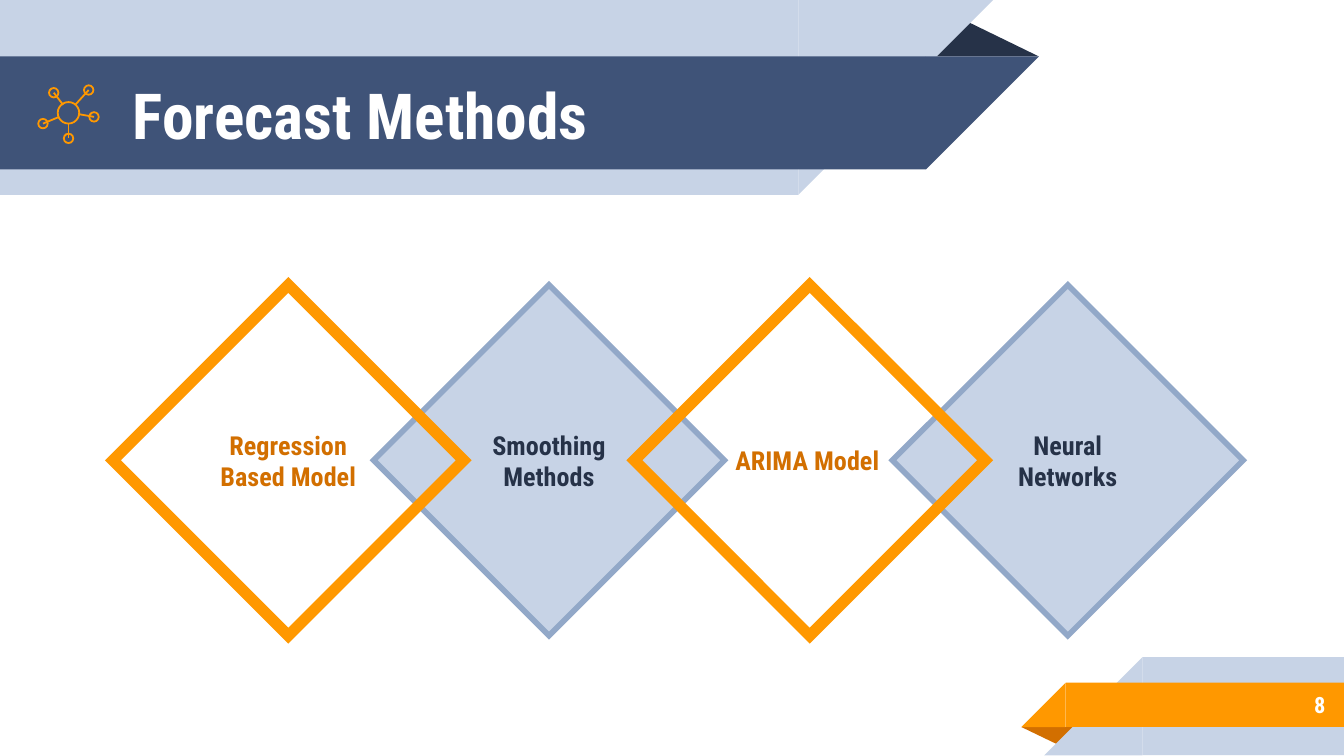
from typing import NamedTuple, Optional

from lxml import etree
from pptx import Presentation
from pptx.dml.color import RGBColor
from pptx.enum import shapes, text
from pptx.oxml import ns
from pptx.util import Inches, Pt

FONT = "Roboto Condensed"
NAVY, SLATE, PALE, STEEL = "263248", "3F5378", "C7D3E6", "92A8C8"
ORANGE, BROWN, WHITE = "FF9800", "D26F00", "FFFFFF"
KIND = shapes.MSO_SHAPE
ALIGN = text.PP_ALIGN


class Box(NamedTuple):
    left: float
    top: float
    width: float
    height: float


class Band(NamedTuple):
    """A bar with a 45 degree end; the corner is a square of side `slant`."""
    bar: Box
    corner_left: float
    slant: float
    corner_turn: int
    color: str


class Fold(NamedTuple):
    box: Box
    turn: int
    color: str


class Method(NamedTuple):
    label: str
    left: float
    fill: Optional[str]
    outline: str
    weight: float
    color: str
    align: ALIGN


class Spoke(NamedTuple):
    """A line from the hub's rim to the centre of an outer node."""
    rim: tuple
    node: tuple


HEADER_FOLD = Fold(Box(6.88, 0.14, 0.85, 0.28), 0, NAVY)
HEADER_BANDS = [
    Band(Box(0, 0, 5.94, 1.45), 5.94, 1.45, 90, PALE),
    Band(Box(0, 0.42, 6.89, 0.84), 6.89, 0.84, 90, SLATE),
]
FOOTER_FOLD = Fold(Box(7.6, 5.41, 0.43, 0.14), 180, BROWN)
FOOTER_BANDS = [
    Band(Box(8.5, 4.89, 1.5, 0.73), 7.77, 0.73, 270, PALE),
    Band(Box(7.93, 5.08, 2.08, 0.33), 7.6, 0.33, 270, ORANGE),
]

# Back to front: the orange diamonds overlap the pale ones.
METHODS = [
    Method("Neural Networks", 6.64, PALE, STEEL, 3, NAVY, ALIGN.CENTER),
    Method("Smoothing Methods", 2.78, PALE, STEEL, 3, NAVY, ALIGN.CENTER),
    Method("Regression Based Model", 0.84, None, ORANGE, 6, BROWN, ALIGN.CENTER),
    Method("ARIMA Model", 4.72, None, ORANGE, 6, BROWN, ALIGN.LEFT),
]
DIAMOND_TOP, DIAMOND_SIDE = 2.12, 2.61

HUB, HUB_SIZE, NODE_SIZE, ICON_LINE = (0.51, 0.84), 0.16, 0.07, 0.96
SPOKES = [
    Spoke((0.56, 0.78), (0.66, 0.67)),
    Spoke((0.47, 0.78), (0.4, 0.69)),
    Spoke((0.44, 0.87), (0.32, 0.92)),
    Spoke((0.51, 0.92), (0.51, 1.03)),
    Spoke((0.59, 0.85), (0.7, 0.87)),
]


def rgb(color: str) -> RGBColor:
    return RGBColor.from_string(color)


def add_preset(slide, kind, box: Box, fill=None, outline=None, weight=0.0, turn=0):
    shape = slide.shapes.add_shape(kind, *map(Inches, box))
    shape.shadow.inherit = False
    shape.rotation = turn
    if fill:
        shape.fill.solid()
        shape.fill.fore_color.rgb = rgb(fill)
    else:
        shape.fill.background()
    if outline:
        shape.line.color.rgb = rgb(outline)
        shape.line.width = Pt(weight)
        outline_xml = shape._element.spPr.find(ns.qn("a:ln"))
        etree.SubElement(outline_xml, ns.qn("a:miter"), lim="800000")
    else:
        shape.line.fill.background()
    return shape


def write(shape, words: str, size: float, color: str, align: ALIGN) -> None:
    frame = shape.text_frame
    frame_format = {"word_wrap": True, "vertical_anchor": text.MSO_ANCHOR.MIDDLE}
    for side in ("left", "top", "right", "bottom"):
        frame_format[f"margin_{side}"] = Inches(0.1)
    for name, value in frame_format.items():
        setattr(frame, name, value)
    paragraph = frame.paragraphs[0]
    paragraph.alignment = align
    run = paragraph.add_run()
    run.text = words
    for name, value in {"name": FONT, "size": Pt(size), "bold": True}.items():
        setattr(run.font, name, value)
    run.font.color.rgb = rgb(color)


def add_label(slide, box: Box, words: str, size: float, align: ALIGN) -> None:
    write(slide.shapes.add_textbox(*map(Inches, box)), words, size, WHITE, align)


def add_ribbon(slide, fold: Fold, bands: list[Band]) -> None:
    """Draw the folded corner first, then the bands that cover it."""
    corner = add_preset(slide, KIND.ISOSCELES_TRIANGLE, fold.box, fold.color, turn=fold.turn)
    corner.adjustments[0] = 0.324
    for band in bands:
        add_preset(slide, KIND.RECTANGLE, band.bar, band.color)
        end = Box(band.corner_left, band.bar.top, band.slant, band.slant)
        add_preset(slide, KIND.RIGHT_TRIANGLE, end, band.color, turn=band.corner_turn)


def add_method(slide, method: Method) -> None:
    box = Box(method.left, DIAMOND_TOP, DIAMOND_SIDE, DIAMOND_SIDE)
    diamond = add_preset(slide, KIND.DIAMOND, box, method.fill, method.outline, method.weight)
    write(diamond, method.label, 14, method.color, method.align)


def add_ring(slide, center: tuple, size: float) -> None:
    x, y = center
    box = Box(x - size / 2, y - size / 2, size, size)
    add_preset(slide, KIND.OVAL, box, outline=ORANGE, weight=ICON_LINE)


def add_spoke(slide, spoke: Spoke) -> None:
    line = slide.shapes.add_connector(
        shapes.MSO_CONNECTOR.STRAIGHT, *map(Inches, spoke.rim + spoke.node))
    line.line.color.rgb = rgb(ORANGE)
    line.line.width = Pt(ICON_LINE)
    etree.SubElement(line._element.spPr, ns.qn("a:effectLst"))


def add_network_icon(slide) -> None:
    add_ring(slide, HUB, HUB_SIZE)
    for spoke in SPOKES:
        add_ring(slide, spoke.node, NODE_SIZE)
        add_spoke(slide, spoke)


def main() -> None:
    deck = Presentation()
    deck.slide_width = Inches(10)
    deck.slide_height = deck.slide_width * 9 // 16
    slide = deck.slides.add_slide(deck.slide_layouts[6])
    add_ribbon(slide, HEADER_FOLD, HEADER_BANDS)
    add_ribbon(slide, FOOTER_FOLD, FOOTER_BANDS)
    add_label(slide, Box(0.89, 0.43, 5.75, 0.84), "Forecast Methods", 34, ALIGN.LEFT)
    add_label(slide, Box(8.33, 5.07, 1.63, 0.35), "8", 12, ALIGN.RIGHT)
    for method in METHODS:
        add_method(slide, method)
    add_network_icon(slide)
    deck.save("out.pptx")


if __name__ == "__main__":
    main()
